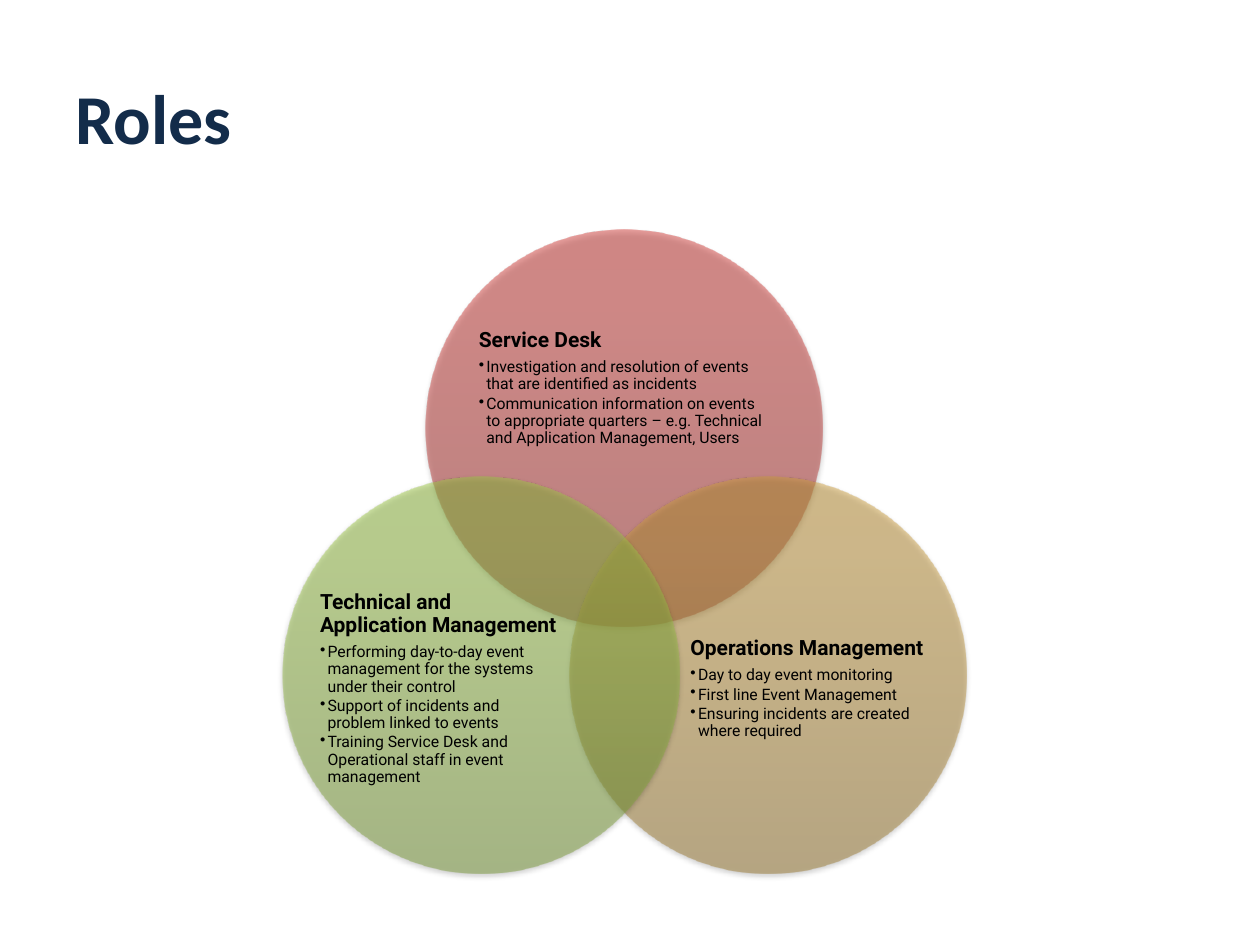
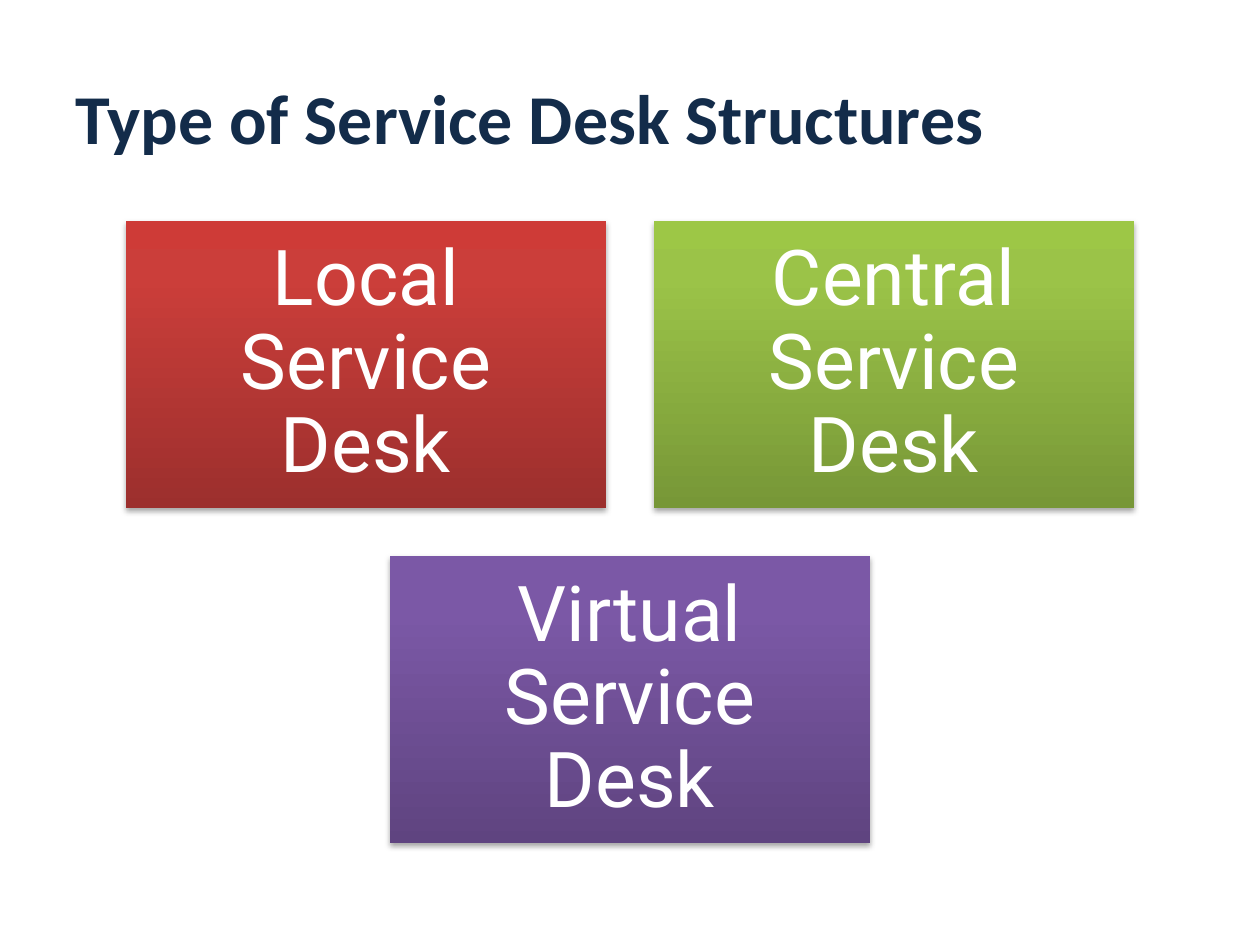
"""Build two slides on service desk roles and service desk structures."""
import lxml.etree
import pptx
import pptx.dml.color
import pptx.enum.shapes
import pptx.enum.text
import pptx.oxml
import pptx.oxml.ns
import pptx.util

Inches = pptx.util.Inches
Pt = pptx.util.Pt
RGBColor = pptx.dml.color.RGBColor
Shapes = pptx.enum.shapes.MSO_SHAPE
Align = pptx.enum.text.PP_ALIGN

NAVY = RGBColor(0x13, 0x2C, 0x4A)
BLACK = RGBColor(0, 0, 0)
WHITE = RGBColor(0xFF, 0xFF, 0xFF)
RED = (RGBColor(0x9C, 0x2F, 0x2D), RGBColor(0xCB, 0x3E, 0x3A), RGBColor(0xCE, 0x3B, 0x37))
GOLD = (RGBColor(0x99, 0x78, 0x32), RGBColor(0xC7, 0x9C, 0x41), RGBColor(0xCB, 0x9D, 0x3F))
GREEN = (RGBColor(0x77, 0x97, 0x37), RGBColor(0x9B, 0xC3, 0x48), RGBColor(0x9D, 0xC7, 0x46))
PURPLE = (RGBColor(0x5F, 0x44, 0x80), RGBColor(0x7B, 0x58, 0xA6), RGBColor(0x7C, 0x57, 0xA8))
STOPS = (0, 80, 100)
TITLE_FONT, BODY_FONT = "Calibri", "Roboto"

ROLES = [
    {"name": "Service Desk", "shades": RED, "offset": (0, 0),
     "text_area": (3.8, 2.37, 2.31, 1.42),
     "duties": ["Investigation and resolution of events that are identified as incidents",
                "Communication information on events to appropriate quarters – e.g. "
                "Technical and Application Management, Users"]},
    {"name": "Operations Management", "shades": GOLD, "offset": (1, 1),
     "text_area": (5.48, 4.6, 1.89, 1.73),
     "duties": ["Day to day event monitoring",
                "First line Event Management",
                "Ensuring incidents are created where required"]},
    {"name": "Technical and Application Management", "shades": GREEN, "offset": (-1, 1),
     "text_area": (2.54, 4.6, 1.89, 1.73),
     "duties": ["Performing day-to-day event management for the systems under their control",
                "Support of incidents and problem linked to events",
                "Training Service Desk and Operational staff in event management"]},
]
STRUCTURE_ROWS = [
    [("Local Service Desk", RED), ("Central Service Desk", GREEN)],
    [("Virtual Service Desk", PURPLE)],
]

CIRCLE_SIZE, CIRCLE_LEFT, CIRCLE_TOP = 3.15, 3.38, 1.82
CIRCLE_STEP_X, CIRCLE_STEP_Y = 1.14, 1.96
TILE_WIDTH, TILE_HEIGHT, TILE_GAP, TILE_TOP = 3.81, 2.28, 0.38, 1.75
SLIDE_WIDTH, SLIDE_HEIGHT = 10, 7.5


def add_glossy_shape(page, kind, area, shades, opacity=100):
    """Add a borderless shape with a vertical gradient and a soft shadow."""
    shape = page.shapes.add_shape(kind, *map(Inches, area))
    shape.line.fill.background()
    stops = "".join(
        f'<a:gs pos="{stop * 1000}"><a:srgbClr val="{shade}">'
        f'<a:alpha val="{opacity * 1000}"/></a:srgbClr></a:gs>'
        for stop, shade in zip(STOPS, shades))
    namespace = pptx.oxml.ns.nsdecls("a")
    properties = shape.element.spPr
    properties.find(pptx.oxml.ns.qn("a:ln")).addprevious(pptx.oxml.parse_xml(
        f'<a:gradFill {namespace} rotWithShape="1"><a:gsLst>{stops}</a:gsLst>'
        '<a:lin ang="16200000" scaled="0"/></a:gradFill>'))
    properties.append(pptx.oxml.parse_xml(
        f'<a:effectLst {namespace}><a:outerShdw blurRad="{Pt(3.1)}" dist="{Pt(1.8)}" '
        'dir="5400000" rotWithShape="0"><a:srgbClr val="000000"><a:alpha val="35000"/>'
        '</a:srgbClr></a:outerShdw></a:effectLst>'))
    return shape


def prepare_frame(shape, margin):
    """Wrap and vertically centre the text of a shape."""
    frame = shape.text_frame
    frame.word_wrap = True
    frame.vertical_anchor = pptx.enum.text.MSO_ANCHOR.MIDDLE
    frame.margin_left = frame.margin_right = Inches(margin)
    frame.margin_top = frame.margin_bottom = Inches(margin)
    return frame


def style_font(para, name, size, color, bold=False):
    """Set the font of a whole paragraph."""
    para.font.name, para.font.size, para.font.bold = name, Pt(size), bold
    para.font.color.rgb = color


def write_body(para, text, size, color, after, bold=False, align=Align.LEFT):
    """Fill a body paragraph; the space after is a share of the text size."""
    para.text = text
    para.alignment = align
    para.line_spacing = 0.9
    para.space_after = Pt(size * after)
    style_font(para, BODY_FONT, size, color, bold)


def add_bullet(para):
    """Give a paragraph a hanging bullet."""
    para.level = 1
    properties = para._p.get_or_add_pPr()
    properties.set("marL", str(Inches(0.06)))
    properties.set("indent", str(-Inches(0.06)))
    bullet = lxml.etree.SubElement(properties, pptx.oxml.ns.qn("a:buChar"))
    bullet.set("char", "•")
    properties.insert_element_before(bullet, "a:tabLst", "a:defRPr", "a:extLst")


def add_page(deck, title):
    """Add a blank page with the shared title."""
    page = deck.slides.add_slide(deck.slide_layouts[6])
    box = page.shapes.add_textbox(*map(Inches, (0.5, 0.3, 9, 1.25)))
    frame = prepare_frame(box, 0.1)
    frame.paragraphs[0].text = title
    style_font(frame.paragraphs[0], TITLE_FONT, 40, NAVY, True)
    return page


def add_role(page, role):
    """Add one circle of the diagram with its heading and duties."""
    across, down = role["offset"]
    area = (CIRCLE_LEFT + across * CIRCLE_STEP_X, CIRCLE_TOP + down * CIRCLE_STEP_Y,
            CIRCLE_SIZE, CIRCLE_SIZE)
    add_glossy_shape(page, Shapes.OVAL, area, role["shades"], 50)
    frame = prepare_frame(page.shapes.add_textbox(*map(Inches, role["text_area"])), 0)
    write_body(frame.paragraphs[0], role["name"], 12, BLACK, 0.35, bold=True)
    for duty in role["duties"]:
        para = frame.add_paragraph()
        write_body(para, duty, 9, BLACK, 0.15)
        add_bullet(para)


def add_structures(page):
    """Lay the tiles out in centred rows."""
    for row, tiles in enumerate(STRUCTURE_ROWS):
        row_width = len(tiles) * (TILE_WIDTH + TILE_GAP) - TILE_GAP
        top = TILE_TOP + row * (TILE_HEIGHT + TILE_GAP)
        for column, (name, shades) in enumerate(tiles):
            left = (SLIDE_WIDTH - row_width) / 2 + column * (TILE_WIDTH + TILE_GAP)
            tile = add_glossy_shape(page, Shapes.RECTANGLE,
                                    (left, top, TILE_WIDTH, TILE_HEIGHT), shades)
            frame = prepare_frame(tile, 0.18)
            write_body(frame.paragraphs[0], name, 44, WHITE, 0.35, align=Align.CENTER)


def main():
    """Build and save the deck."""
    deck = pptx.Presentation()
    deck.slide_width, deck.slide_height = Inches(SLIDE_WIDTH), Inches(SLIDE_HEIGHT)
    roles_page = add_page(deck, "Roles")
    for role in ROLES:
        add_role(roles_page, role)
    add_structures(add_page(deck, "Type of Service Desk Structures"))
    deck.save("out.pptx")


if __name__ == "__main__":
    main()
